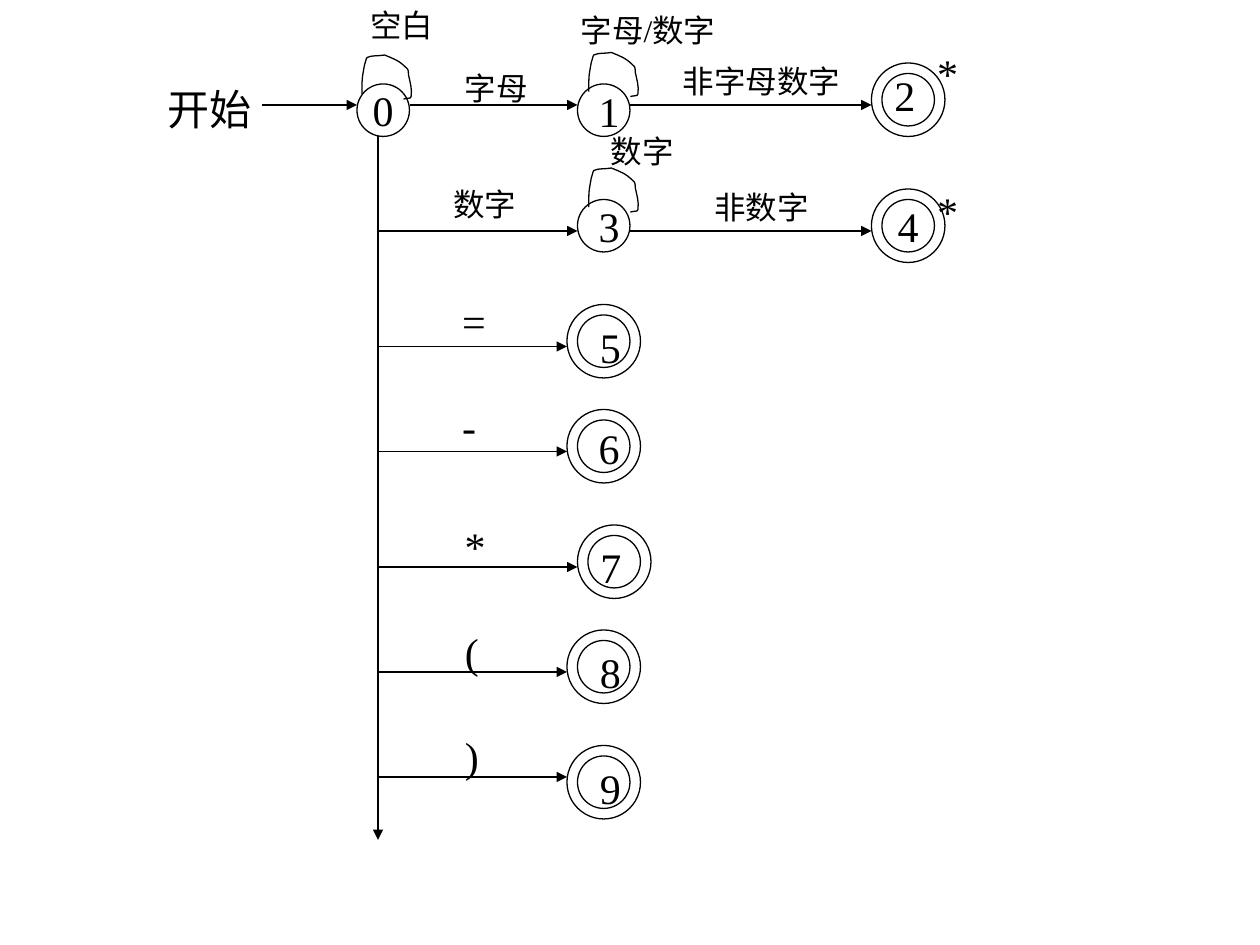
from lxml import etree
from pptx import Presentation
from pptx.dml.color import RGBColor
from pptx.enum import shapes, text
from pptx.oxml.ns import qn
from pptx.util import Inches, Pt

BLACK = RGBColor(0, 0, 0)
FONT = "Times New Roman"

# States and arrows sit on a grid of twelve steps to the inch.
GRID = Inches(1) // 12
STATE_SIZE = 5
RING_GAP = 1
TRUNK_X = 36

# Self-loop outline in inches from its box: a start point, then three points
# (two controls and an end) for each curve.
LOOP_POINTS = [
    (0.33, 0.35),
    (0.35, 0.34), (0.39, 0.35), (0.39, 0.33),
    (0.40, 0.27), (0.38, 0.21), (0.37, 0.16),
    (0.37, 0.14), (0.37, 0.11), (0.35, 0.10),
    (0.29, 0.04), (0.25, 0.03), (0.18, 0.00),
    (0.13, 0.01), (0.08, 0.00), (0.04, 0.02),
    (0.03, 0.03), (0.03, 0.06), (0.02, 0.08),
    (0.00, 0.19), (0.00, 0.18), (0.00, 0.31),
]


def style_outline(shape):
    shape.shadow.inherit = False
    shape.fill.background()
    shape.line.color.rgb = BLACK
    shape.line.width = Pt(0.75)


def write_text(shape, words, size):
    frame = shape.text_frame
    frame.word_wrap = False
    run = frame.paragraphs[0].add_run()
    run.text = words
    run.font.size = Pt(size)
    run.font.name = FONT
    run.font.color.rgb = BLACK


def add_label(slide, words, left, top, width, size=24):
    height = Inches(0.5 if size == 24 else 0.4)
    box = slide.shapes.add_textbox(left, top, Inches(width), height)
    write_text(box, words, size)
    box.text_frame.auto_size = text.MSO_AUTO_SIZE.SHAPE_TO_FIT_TEXT


def add_circle(slide, column, row, size):
    circle = slide.shapes.add_shape(
        shapes.MSO_SHAPE.OVAL,
        column * GRID, row * GRID, size * GRID, size * GRID)
    style_outline(circle)
    return circle


def add_state(slide, column, row, number, offset=None, accepting=False):
    """Number the state inside its circle, or in a label at offset from it."""
    circle = add_circle(slide, column, row, STATE_SIZE)
    if accepting:
        add_circle(slide, column - RING_GAP, row - RING_GAP,
                   STATE_SIZE + 2 * RING_GAP)
    if offset:
        add_label(slide, number, column * GRID + Inches(offset[0]),
                  row * GRID + Inches(offset[1]), 0.36)
    else:
        write_text(circle, number, 24)
        circle.text_frame.vertical_anchor = text.MSO_ANCHOR.MIDDLE
        circle.text_frame.paragraphs[0].alignment = text.PP_ALIGN.CENTER


def add_arrow(slide, start, end):
    arrow = slide.shapes.add_connector(
        shapes.MSO_CONNECTOR.STRAIGHT, *(step * GRID for step in start + end))
    arrow.line.color.rgb = BLACK
    arrow.line.width = Pt(0.75)
    properties = arrow._element.spPr
    etree.SubElement(properties.find(qn("a:ln")), qn("a:tailEnd"), type="triangle")
    etree.SubElement(properties, qn("a:effectLst"))


def add_self_loop(slide, left, top):
    outline = [(left + Inches(x), top + Inches(y)) for x, y in LOOP_POINTS]
    builder = slide.shapes.build_freeform(*outline[0])
    builder.add_line_segments(outline[1:], close=False)
    loop = builder.convert_to_shape()
    style_outline(loop)
    segments = list(loop._element.iter(qn("a:lnTo")))
    for index in range(0, len(segments), 3):
        curve = etree.Element(qn("a:cubicBezTo"))
        segments[index].addprevious(curve)
        for segment in segments[index:index + 3]:
            curve.append(segment[0])
            segment.getparent().remove(segment)


def add_start(slide, column, row):
    add_label(slide, "开始", Inches(1.23), Inches(0.61), 0.87)
    add_arrow(slide, (25, row + 2), (column, row + 2))
    add_state(slide, column, row, "0")
    add_self_loop(slide, column * GRID + Inches(0.04), row * GRID - Inches(0.23))
    add_arrow(slide, (TRUNK_X, row + STATE_SIZE), (TRUNK_X, 80))


def add_token_row(slide, column, row, arrow_row, arrow_start, number):
    """Draw a looping state, reached by an arrow and left by another."""
    add_arrow(slide, (arrow_start, arrow_row), (column, arrow_row))
    add_state(slide, column, row, number, (0.07, -0.04))
    add_self_loop(slide, column * GRID + Inches(0.09), row * GRID - Inches(0.25))
    add_arrow(slide, (column + STATE_SIZE, arrow_row), (83, arrow_row))


def add_symbol_row(slide, column, row, arrow_row, number, number_offset,
                   symbol, left, top, width):
    """Draw a branch from the trunk to an accepting state."""
    add_arrow(slide, (TRUNK_X, arrow_row), (column - RING_GAP, arrow_row))
    add_state(slide, column, row, number, number_offset, accepting=True)
    add_label(slide, symbol, Inches(left), Inches(top), width)


def main():
    presentation = Presentation()
    presentation.slide_width = Inches(10)
    presentation.slide_height = Inches(7.5)
    slide = presentation.slides.add_slide(presentation.slide_layouts[6])

    add_start(slide, 34, 8)
    add_token_row(slide, 55, 8, 10, 39, "1")
    add_token_row(slide, 55, 19, 22, TRUNK_X, "3")
    add_state(slide, 84, 7, "2", (0, -0.08), accepting=True)
    add_state(slide, 84, 19, "4", accepting=True)

    for words, left, top, width, size in [
        ("空白", 2.84, 0, 0.7, 18),
        ("字母/数字", 4.51, 0.04, 1.39, 18),
        ("字母", 3.59, 0.5, 0.7, 18),
        ("非字母数字", 5.32, 0.44, 1.45, 18),
        ("数字", 4.75, 1, 0.7, 18),
        ("数字", 3.5, 1.42, 0.7, 18),
        ("非数字", 5.57, 1.44, 0.95, 18),
        ("*", 7.34, 0.33, 0.36, 24),
        ("*", 7.34, 1.42, 0.36, 24),
    ]:
        add_label(slide, words, Inches(left), Inches(top), width, size)

    for branch in [
        (55, 30, 33, "5", (0.08, 0), "=", 3.57, 2.3, 0.39),
        (55, 40, 43, "6", (0.07, -0.03), "-", 3.57, 3.13, 0.31),
        (56, 51, 54, "7", (0, 0), "*", 3.59, 4.08, 0.36),
        (55, 61, 64, "8", (0.08, 0), "(", 3.59, 4.92, 0.31),
        (55, 72, 74, "9", (0.08, 0), ")", 3.59, 5.75, 0.31),
    ]:
        add_symbol_row(slide, *branch)

    presentation.save("out.pptx")


if __name__ == "__main__":
    main()
